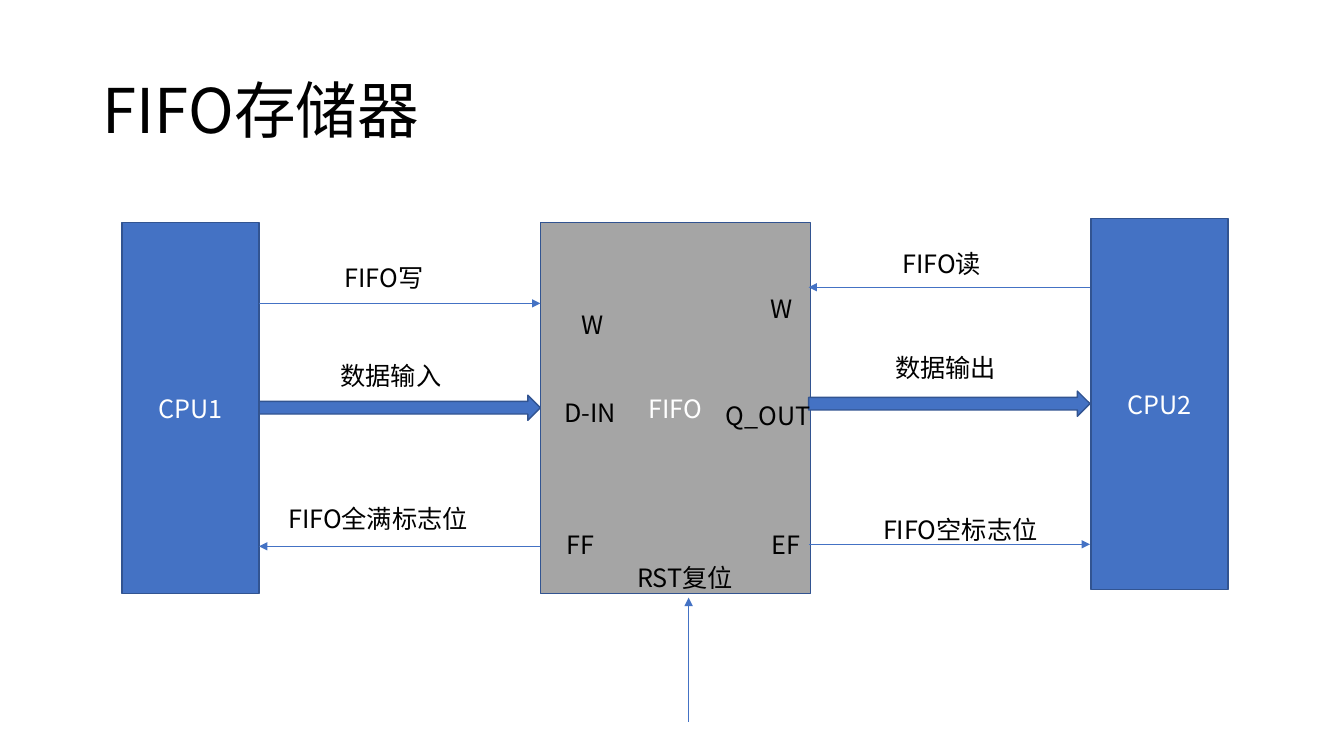
from lxml import etree
from pptx import Presentation
from pptx.dml.color import RGBColor
from pptx.enum.shapes import MSO_CONNECTOR, MSO_SHAPE
from pptx.enum.text import MSO_ANCHOR, MSO_AUTO_SIZE, PP_ALIGN
from pptx.oxml.ns import qn
from pptx.util import Inches, Pt

FONT = "Noto Sans CJK SC"
COLORS = {
    "blue": "4472C4",
    "outline": "325491",
    "gray": "A5A5A5",
    "black": "000000",
    "white": "FFFFFF",
}
CPU_WIDTH, BLOCK_HEIGHT = 1.36, 3.68
LABEL_HEIGHT = 0.4
BUS_WIDTH, BUS_HEIGHT = 2.79, 0.25
WRITE_LEFT, WRITE_RIGHT = 2.57, 5.36
READ_LEFT, READ_RIGHT = 8.02, 10.81
RESET_X = 6.83

BLOCKS = [  # text, left, top, width, fill
    ("CPU1", 1.21, 2.21, CPU_WIDTH, "blue"),
    ("CPU2", 10.82, 2.17, CPU_WIDTH, "blue"),
    ("FIFO", 5.36, 2.21, 2.68, "gray"),
]
BUSES = [(WRITE_LEFT, 3.92), (READ_LEFT, 3.88)]
SIGNALS = [  # start, end
    ((WRITE_LEFT, 3.01), (WRITE_RIGHT, 3.01)),
    ((WRITE_RIGHT, 5.42), (WRITE_LEFT, 5.42)),
    ((READ_RIGHT, 2.85), (READ_LEFT, 2.85)),
    ((READ_LEFT, 5.4), (READ_RIGHT, 5.4)),
    ((RESET_X, 7.16), (RESET_X, 5.93)),
]
LABELS = [  # text, left, top, width
    ("FIFO全满标志位", 2.76, 4.94, 2.63),
    ("D-IN", 5.5, 3.89, 0.91),
    ("FF", 5.52, 5.2, 0.91),
    ("W", 7.54, 2.86, 0.91),
    ("Q_OUT", 7.1, 3.92, 1.14),
    ("EF", 7.55, 5.2, 0.91),
    ("FIFO写", 3.32, 2.55, 1.08),
    ("数据输入", 3.28, 3.53, 1.36),
    ("数据输出", 8.78, 3.45, 1.36),
    ("W", 5.67, 3.02, 0.91),
    ("FIFO读", 8.85, 2.41, 2.63),
    ("FIFO空标志位", 8.66, 5.05, 2.63),
    ("RST复位", 6.22, 5.53, 1.22),
]


def rgb(name):
    return RGBColor.from_string(COLORS[name])


def write_text(shape, text, size=18, color="black", align=PP_ALIGN.LEFT):
    """Fill a shape with one paragraph, using the font for Latin and Chinese."""
    frame = shape.text_frame
    frame.text = text
    frame.word_wrap = True
    paragraph = frame.paragraphs[0]
    paragraph.alignment = align
    run = paragraph.runs[0]
    run.font.name = FONT
    run.font.size = Pt(size)
    run.font.color.rgb = rgb(color)
    east_asian = etree.SubElement(run.font._element, qn("a:ea"))
    east_asian.set("typeface", FONT)
    return frame


def set_title(slide, text):
    title = slide.shapes.title
    title.left, title.top = Inches(0.92), Inches(0.4)
    title.width, title.height = Inches(11.5), Inches(1.45)
    frame = write_text(title, text, size=44)
    frame.vertical_anchor = MSO_ANCHOR.MIDDLE
    frame.paragraphs[0].line_spacing = 0.9


def add_filled_shape(slide, kind, left, top, width, height, fill):
    shape = slide.shapes.add_shape(
        kind, Inches(left), Inches(top), Inches(width), Inches(height))
    shape.shadow.inherit = False
    shape.fill.solid()
    shape.fill.fore_color.rgb = rgb(fill)
    shape.line.color.rgb = rgb("outline")
    shape.line.width = Pt(1)
    return shape


def add_block(slide, text, left, top, width, fill):
    block = add_filled_shape(
        slide, MSO_SHAPE.RECTANGLE, left, top, width, BLOCK_HEIGHT, fill)
    frame = write_text(block, text, color="white", align=PP_ALIGN.CENTER)
    frame.vertical_anchor = MSO_ANCHOR.MIDDLE


def add_signal(slide, start, end):
    """Draw a thin line with an arrowhead at its end."""
    signal = slide.shapes.add_connector(
        MSO_CONNECTOR.STRAIGHT, *map(Inches, start + end))
    signal.line.color.rgb = rgb("blue")
    signal.line.width = Pt(0.5)
    arrowhead = etree.SubElement(signal.line._get_or_add_ln(), qn("a:tailEnd"))
    arrowhead.set("type", "triangle")
    etree.SubElement(signal._element.spPr, qn("a:effectLst"))


def add_label(slide, text, left, top, width):
    label = slide.shapes.add_textbox(
        Inches(left), Inches(top), Inches(width), Inches(LABEL_HEIGHT))
    frame = write_text(label, text)
    frame.auto_size = MSO_AUTO_SIZE.SHAPE_TO_FIT_TEXT


def main():
    presentation = Presentation()
    presentation.slide_width = Inches(13.33)
    presentation.slide_height = Inches(7.5)
    slide = presentation.slides.add_slide(presentation.slide_layouts[5])

    set_title(slide, "FIFO存储器")
    for block in BLOCKS:
        add_block(slide, *block)
    for left, top in BUSES:
        add_filled_shape(slide, MSO_SHAPE.RIGHT_ARROW, left, top,
                         BUS_WIDTH, BUS_HEIGHT, "blue")
    for start, end in SIGNALS:
        add_signal(slide, start, end)
    for label in LABELS:
        add_label(slide, *label)

    presentation.save("out.pptx")


if __name__ == "__main__":
    main()
